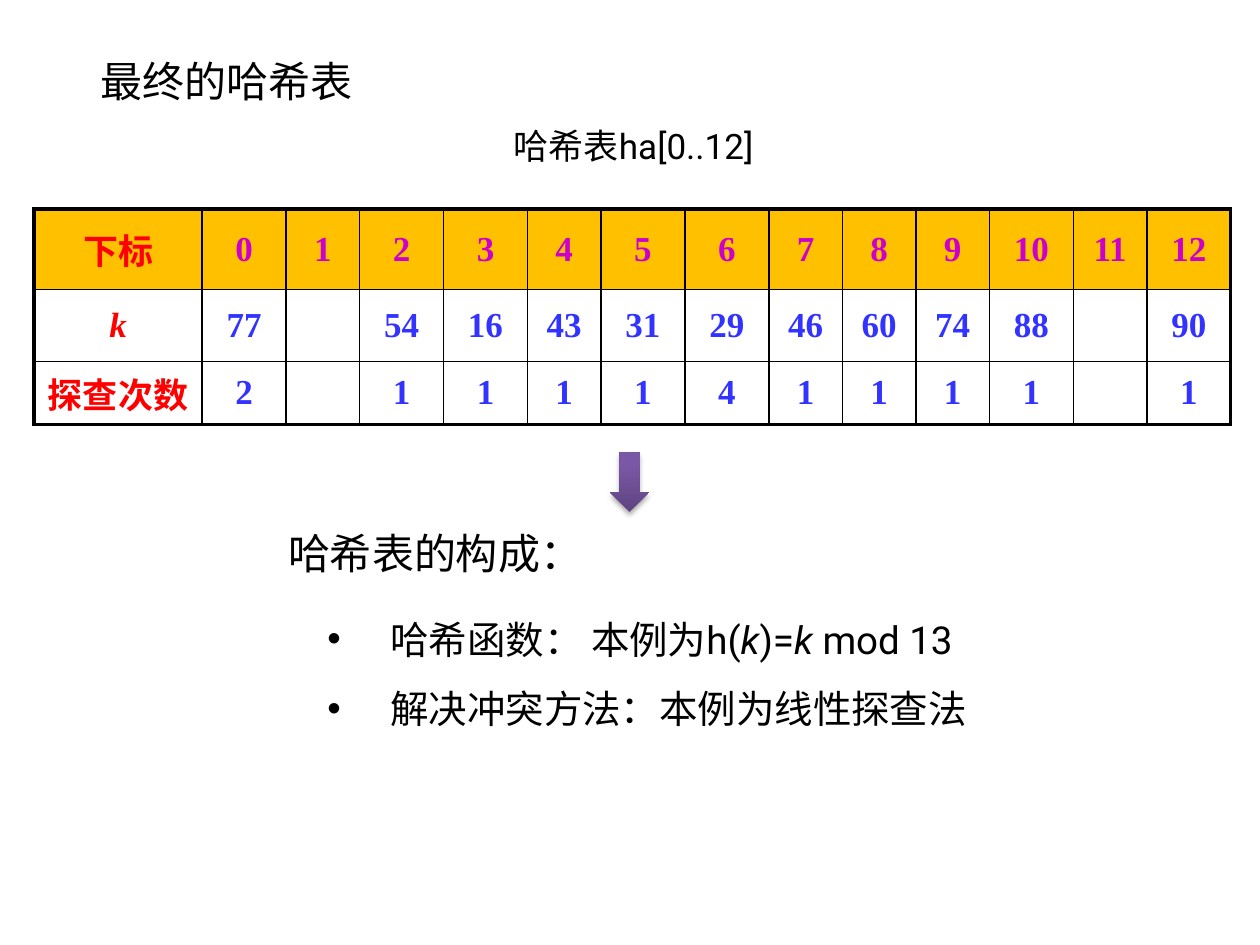
import copy
from dataclasses import dataclass
from typing import Any

import lxml.etree
import pptx
import pptx.dml.color
import pptx.enum.shapes
import pptx.enum.text
import pptx.oxml
import pptx.oxml.ns
import pptx.util

Pt = pptx.util.Pt
qn = pptx.oxml.ns.qn


@dataclass(frozen=True)
class Theme:
    text_font: str = "Roboto"
    table_font: str = "Times New Roman"
    black: str = "000000"
    header_fill: str = "FFC000"
    label: str = "FF0000"
    index: str = "CC00CC"
    value: str = "3333FF"
    arrow_stops: tuple = ((0, "5F4480"), (0.8, "7B58A6"), (1, "7C57A8"))
    heading_size: float = 24
    list_size: float = 22
    table_size: float = 20
    thin: float = 1
    thick: float = 2.25


THEME = Theme()


@dataclass(frozen=True)
class Box:
    left: float
    top: float
    width: float
    height: float

    def lengths(self) -> tuple:
        return tuple(Pt(value) for value in (self.left, self.top, self.width, self.height))


@dataclass(frozen=True)
class Label:
    text: str
    box: Box
    size: float
    wrap: bool = True


@dataclass(frozen=True)
class TableRow:
    label: str
    values: tuple
    height: float
    color: str
    fill: str | None = None
    italic_label: bool = False


# Content
TITLE = Label("最终的哈希表", Box(50.5, 28, 220, 36), THEME.heading_size)
CAPTION = Label("哈希表ha[0..12]", Box(286.5, 67.5, 156, 32), THEME.table_size, wrap=False)
STRUCTURE = Label("哈希表的构成：", Box(157.5, 298, 184, 36), THEME.heading_size)
LIST_BOX = Box(180, 335, 416, 87)
ARROW_BOX = Box(348.5, 258.5, 22.5, 34)
TABLE_BOX = Box(19.5, 119.5, 684, 123)

# Each item is a list of (text, italic) runs
LIST_ITEMS = (
    (("哈希函数： 本例为h(", False), ("k", True), (")=", False), ("k", True), (" mod 13", False)),
    (("解决冲突方法：本例为线性探查法", False),),
)
TABLE_ROWS = (
    TableRow("下标", tuple(range(13)), 46, THEME.index, THEME.header_fill),
    TableRow("k", (77, "", 54, 16, 43, 31, 29, 46, 60, 74, 88, "", 90), 41,
             THEME.value, italic_label=True),
    TableRow("探查次数", (2, "", 1, 1, 1, 1, 4, 1, 1, 1, 1, "", 1), 36, THEME.value),
)
LABEL_WIDTH, WIDE, NARROW = 96, 48, 42
NARROW_COLUMNS = {2, 5, 8, 9, 10, 12}


def rgb(color: str) -> pptx.dml.color.RGBColor:
    return pptx.dml.color.RGBColor.from_string(color)


def style_font(font: Any, name: str, size: float, color: str) -> None:
    font.name = name
    font.size = Pt(size)
    font.color.rgb = rgb(color)


def add_label(shapes: Any, label: Label) -> None:
    text_frame = shapes.add_textbox(*label.box.lengths()).text_frame
    text_frame.word_wrap = label.wrap
    text_frame.text = label.text
    run = text_frame.paragraphs[0].runs[0]
    style_font(run.font, THEME.text_font, label.size, THEME.black)


def add_bullet_list(shapes: Any, box: Box, items: tuple) -> None:
    text_frame = shapes.add_textbox(*box.lengths()).text_frame
    text_frame.word_wrap = True
    for number, item in enumerate(items):
        paragraph = text_frame.add_paragraph() if number else text_frame.paragraphs[0]
        paragraph.line_spacing = 1.5
        properties = paragraph._p.get_or_add_pPr()
        properties.set("marL", str(Pt(36)))
        properties.set("indent", str(-Pt(36)))
        lxml.etree.SubElement(properties, qn("a:buFont"), typeface="Arial")
        lxml.etree.SubElement(properties, qn("a:buChar"), char="•")
        for text, italic in item:
            run = paragraph.add_run()
            run.text = text
            style_font(run.font, THEME.text_font, THEME.list_size, THEME.black)
            run.font.italic = italic


def add_down_arrow(shapes: Any, box: Box) -> None:
    shape = shapes.add_shape(pptx.enum.shapes.MSO_SHAPE.DOWN_ARROW, *box.lengths())
    shape.line.fill.background()

    # Gradient running upwards
    shape.fill.gradient()
    shape.fill.gradient_angle = 90
    stop_list = shape._element.spPr.find(".//" + qn("a:gsLst"))
    stop_list.append(copy.deepcopy(stop_list[-1]))
    for stop, (position, color) in zip(shape.fill.gradient_stops, THEME.arrow_stops):
        stop.position = position
        stop.color.rgb = rgb(color)

    # Soft shadow below
    shape.shadow.inherit = False
    effects = shape._element.spPr.find(qn("a:effectLst"))
    shadow = lxml.etree.SubElement(
        effects, qn("a:outerShdw"), blurRad=str(Pt(3.1)), dist=str(Pt(1.8)),
        dir="5400000", rotWithShape="0")
    color_element = lxml.etree.SubElement(shadow, qn("a:srgbClr"), val=THEME.black)
    lxml.etree.SubElement(color_element, qn("a:alpha"), val="35000")


def set_borders(cell: Any, thick_sides: dict[str, bool]) -> None:
    properties = cell._tc.get_or_add_tcPr()
    for position, (side, is_thick) in enumerate(thick_sides.items()):
        width = Pt(THEME.thick if is_thick else THEME.thin)
        line = pptx.oxml.parse_xml(
            f'<a:ln{side} {pptx.oxml.ns.nsdecls("a")} w="{width}"><a:solidFill>'
            f'<a:srgbClr val="{THEME.black}"/></a:solidFill></a:ln{side}>')
        properties.insert(position, line)


def fill_cell(cell: Any, text: str, color: str, fill: str | None, italic: bool) -> None:
    if fill:
        cell.fill.solid()
        cell.fill.fore_color.rgb = rgb(fill)
    else:
        cell.fill.background()
    cell.vertical_anchor = pptx.enum.text.MSO_ANCHOR.MIDDLE
    cell.text_frame.text = text
    paragraph = cell.text_frame.paragraphs[0]
    paragraph.alignment = pptx.enum.text.PP_ALIGN.CENTER
    for run in paragraph.runs:
        style_font(run.font, THEME.table_font, THEME.table_size, color)
        run.font.bold = True
        run.font.italic = italic


def add_hash_table(shapes: Any, box: Box, rows: tuple) -> None:
    column_count = len(rows[0].values) + 1
    table = shapes.add_table(len(rows), column_count, *box.lengths()).table
    table.first_row = table.horz_banding = False
    for number, column in enumerate(table.columns):
        width = NARROW if number in NARROW_COLUMNS else WIDE
        column.width = Pt(width if number else LABEL_WIDTH)
    for row_number, row in enumerate(rows):
        table.rows[row_number].height = Pt(row.height)
        for number, content in enumerate((row.label, *row.values)):
            is_label = number == 0
            cell = table.cell(row_number, number)
            fill_cell(cell, str(content), THEME.label if is_label else row.color,
                      row.fill, is_label and row.italic_label)
            set_borders(cell, {"L": is_label, "R": number == column_count - 1,
                               "T": row_number == 0, "B": row_number == len(rows) - 1})


def main() -> None:
    presentation = pptx.Presentation()
    presentation.slide_width, presentation.slide_height = Pt(720), Pt(540)
    slide = presentation.slides.add_slide(presentation.slide_layouts[6])

    # Final hash table
    add_hash_table(slide.shapes, TABLE_BOX, TABLE_ROWS)
    add_label(slide.shapes, CAPTION)
    add_label(slide.shapes, TITLE)

    # Summary of the parts of a hash table
    summary = slide.shapes.add_group_shape().shapes
    add_label(summary, STRUCTURE)
    add_bullet_list(summary, LIST_BOX, LIST_ITEMS)
    add_down_arrow(summary, ARROW_BOX)

    presentation.save("out.pptx")


if __name__ == "__main__":
    main()
